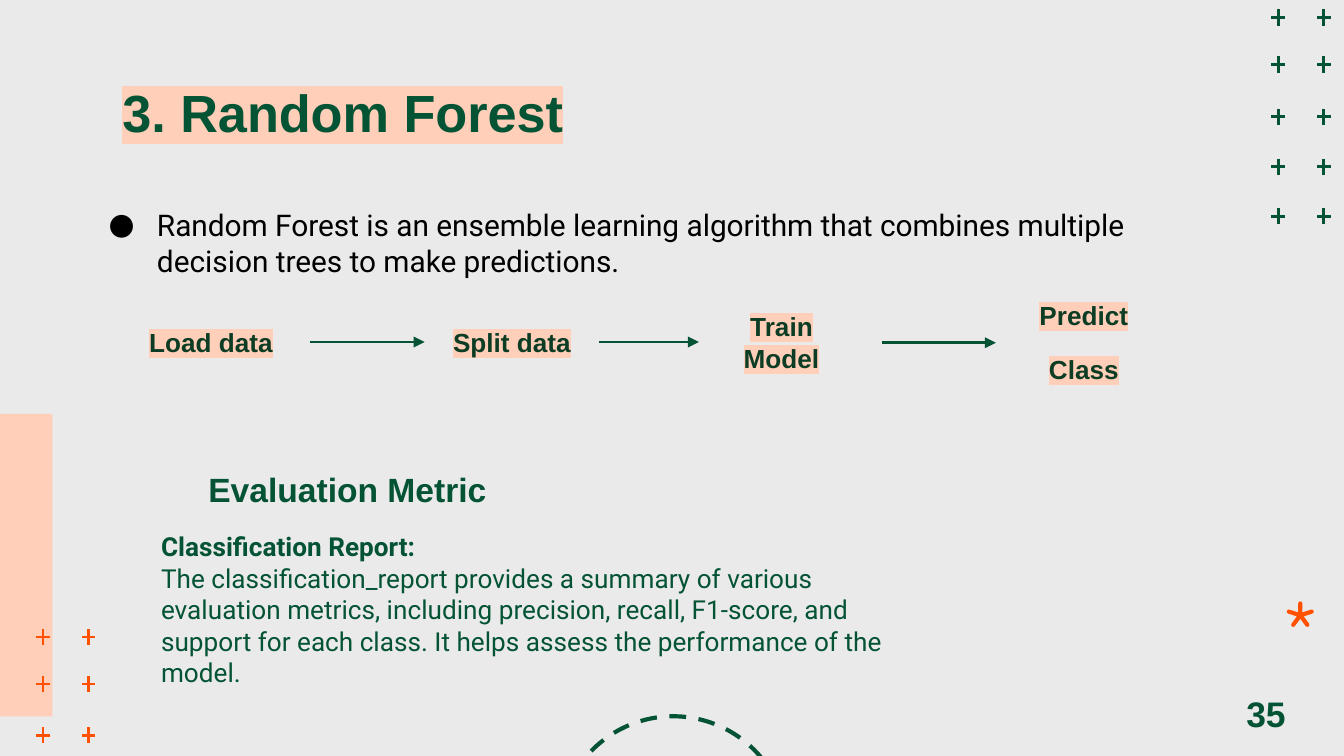
import pptx
import pptx.util
import pptx.dml.color
import pptx.enum.dml
import pptx.enum.shapes
import pptx.enum.text
import pptx.oxml
import pptx.oxml.ns
import lxml.etree

PX = 9144  # 100 px to the inch
GREEN = pptx.dml.color.RGBColor(0x03, 0x53, 0x34)
DARK_GREEN = pptx.dml.color.RGBColor(0x0C, 0x3D, 0x24)
ORANGE = pptx.dml.color.RGBColor(0xFF, 0x51, 0x00)
PEACH = pptx.dml.color.RGBColor(0xFF, 0xCF, 0xB9)
GREY = pptx.dml.color.RGBColor(0xEA, 0xEA, 0xEA)
BLACK = pptx.dml.color.RGBColor(0, 0, 0)
LEFT, CENTER = pptx.enum.text.PP_ALIGN.LEFT, pptx.enum.text.PP_ALIGN.CENTER
TOP, MIDDLE, BOTTOM = (pptx.enum.text.MSO_ANCHOR.TOP, pptx.enum.text.MSO_ANCHOR.MIDDLE,
                       pptx.enum.text.MSO_ANCHOR.BOTTOM)
SHAPES = pptx.enum.shapes.MSO_SHAPE
qn = pptx.oxml.ns.qn

# A 16:9 slide, ten inches wide
presentation = pptx.Presentation()
presentation.slide_width = 1000 * PX
presentation.slide_height = 1000 * PX * 9 // 16
slide = presentation.slides.add_slide(presentation.slide_layouts[5])
slide.background.fill.solid()
slide.background.fill.fore_color.rgb = GREY


def add_line(x1, y1, x2, y2, color):
    line = slide.shapes.add_connector(pptx.enum.shapes.MSO_CONNECTOR.STRAIGHT,
                                      x1 * PX, y1 * PX, x2 * PX, y2 * PX)
    line.line.color.rgb = color
    line.line.width = pptx.util.Pt(1.5)
    lxml.etree.SubElement(line._element.spPr, qn("a:effectLst"))
    return line


def write_text(shape, box, text, size, color, font="Arial", bold=True,
               align=CENTER, anchor=MIDDLE, highlight=None):
    shape.left, shape.top, shape.width, shape.height = [value * PX for value in box]
    frame = shape.text_frame
    frame.text = text
    frame.word_wrap = True
    frame.auto_size = pptx.enum.text.MSO_AUTO_SIZE.NONE
    frame.vertical_anchor = anchor
    frame.margin_left = frame.margin_right = frame.margin_top = frame.margin_bottom = 10 * PX
    for paragraph in frame.paragraphs:
        paragraph.alignment = align
        run = paragraph.runs[0]
        run.font.size = pptx.util.Pt(size)
        run.font.name = font
        run.font.bold = bold
        run.font.color.rgb = color
        if highlight is not None:
            mark = lxml.etree.Element(qn("a:highlight"))
            lxml.etree.SubElement(mark, qn("a:srgbClr")).set("val", str(highlight))
            run.font._element.find(qn("a:solidFill")).addnext(mark)
    return frame


# Side band
band = slide.shapes.add_shape(SHAPES.RECTANGLE, -65 * PX, 308 * PX, 104 * PX, 225 * PX)
band.shadow.inherit = False
band.fill.solid()
band.fill.fore_color.rgb = PEACH
band.line.fill.background()

# Grids of plus signs
for columns, rows, color in (((32, 66), (474, 509, 547), ORANGE),
                             ((951, 985), (13, 48, 87, 124, 161), GREEN)):
    for y in rows:
        for x in columns:
            add_line(x, y - 6, x, y + 6, color)
            add_line(x - 5, y, x + 5, y, color)

# Asterisk
asterisk = slide.shapes.add_shape(SHAPES.STAR_5_POINT, 959 * PX, 449 * PX, 17 * PX, 16 * PX)
asterisk.adjustments[0] = 0
asterisk.shadow.inherit = False
asterisk.fill.solid()
asterisk.fill.fore_color.rgb = ORANGE
asterisk.line.color.rgb = ORANGE
asterisk.line.width = pptx.util.Pt(2.25)

# Dashed circle
circle = slide.shapes.add_shape(SHAPES.OVAL, 416 * PX, 533 * PX, 170 * PX, 170 * PX)
circle.shadow.inherit = False
circle.fill.background()
circle.line.color.rgb = GREEN
circle.line.width = pptx.util.Pt(2.25)
circle.line.dash_style = pptx.enum.dml.MSO_LINE.DASH

# Title and page number
write_text(slide.shapes.title, (81, 50, 839, 63), "3. Random Forest", 28, GREEN,
           align=LEFT, anchor=TOP, highlight=PEACH)
write_text(slide.shapes.add_textbox(0, 0, 0, 0), (904, 515, 76, 31), "35", 19, GREEN)

# Steps
steps = []
for text, left, width in (("Load data", 83, 148), ("Split data", 316, 130),
                          ("Train Model", 520, 123), ("Predict\nClass", 745, 123)):
    step = slide.shapes.add_textbox(0, 0, 0, 0)
    frame = write_text(step, (left, 229, width, 51), text, 14, DARK_GREEN, highlight=PEACH)
    frame.paragraphs[-1].space_after = pptx.util.Pt(12)
    if len(frame.paragraphs) > 1:
        frame.paragraphs[-1].space_before = pptx.util.Pt(12)
    steps.append(step)

# Arrows between the steps
for index, (start, end) in enumerate(((231, 316), (446, 520), (656, 741))):
    arrow = add_line(start, 255, end, 255, GREEN)
    lxml.etree.SubElement(arrow.line._get_or_add_ln(), qn("a:tailEnd")).set("type", "triangle")
    if index < 2:
        arrow.begin_connect(steps[index], 3)
        arrow.end_connect(steps[index + 1], 1)

# Description with a bullet
frame = write_text(
    slide.shapes.add_textbox(0, 0, 0, 0), (57, 144, 830, 98),
    "Random Forest is an ensemble learning algorithm that combines multiple "
    "decision trees to make predictions.",
    16, BLACK, font="Roboto", bold=False, align=LEFT, anchor=TOP)
properties = frame.paragraphs[0]._p.get_or_add_pPr()
properties.set("marL", str(50 * PX))
properties.set("indent", str(-36 * PX))
bullet_color = lxml.etree.SubElement(properties, qn("a:buClr"))
lxml.etree.SubElement(bullet_color, qn("a:srgbClr")).set("val", str(BLACK))
lxml.etree.SubElement(properties, qn("a:buFont")).set("typeface", "Roboto")
lxml.etree.SubElement(properties, qn("a:buChar")).set("char", "●")

# Evaluation
write_text(slide.shapes.add_textbox(0, 0, 0, 0), (84, 335, 349, 54),
           "Evaluation Metric", 18, GREEN, anchor=BOTTOM)
frame = write_text(
    slide.shapes.add_textbox(0, 0, 0, 0), (110, 385, 566, 128),
    "Classification Report:\n"
    "The classification_report provides a summary of various evaluation metrics, "
    "including precision, recall, F1-score, and support for each class. "
    "It helps assess the performance of the model.",
    14, GREEN, font="Roboto", bold=False, align=LEFT, anchor=TOP)
frame.paragraphs[0].runs[0].font.bold = True

presentation.save("out.pptx")
